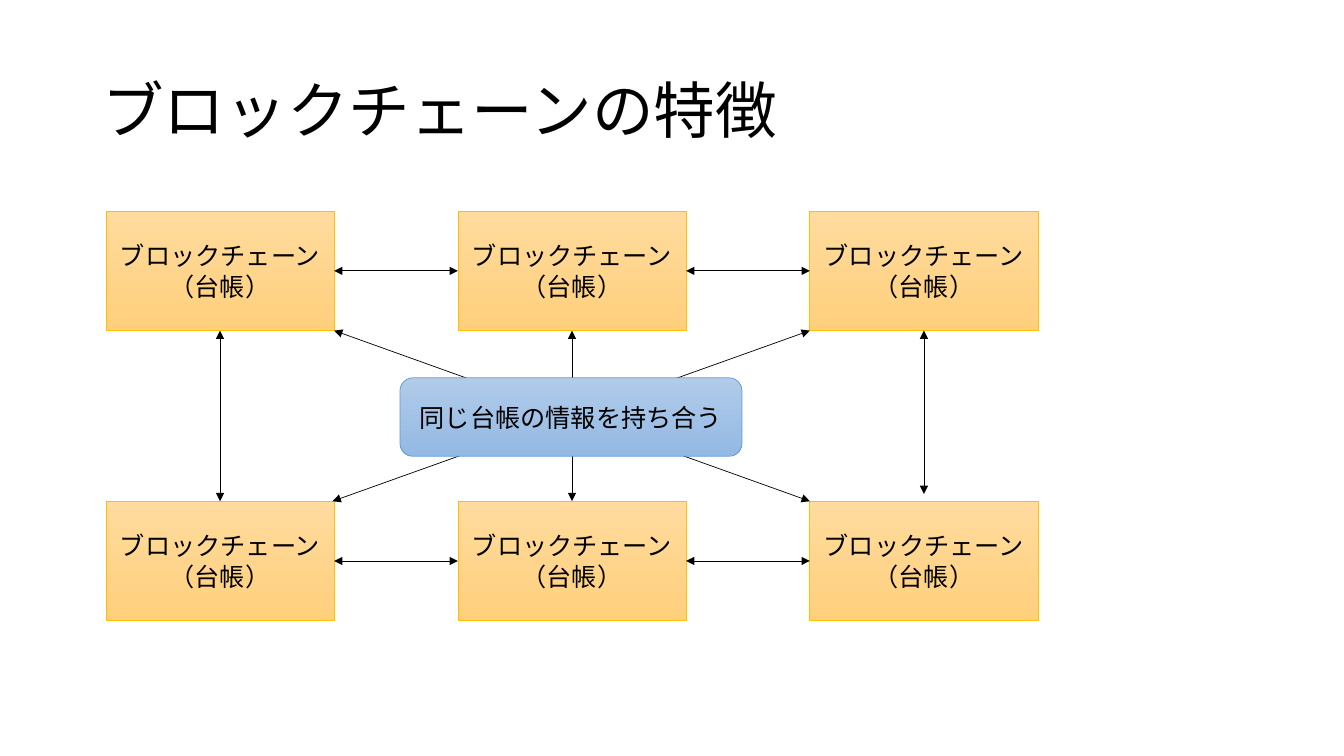
import lxml.etree
import pptx
import pptx.dml.color
import pptx.enum.shapes
import pptx.enum.text
import pptx.oxml.ns
import pptx.util

Cm = pptx.util.Cm
Pt = pptx.util.Pt
qn = pptx.oxml.ns.qn
PRESET = pptx.enum.shapes.MSO_SHAPE

FONT = "Noto Sans CJK JP"
COLORS = {
    "ink": "000000",
    "ledger_top": "FFDB9E", "ledger_bottom": "FFD07C", "ledger_edge": "FFC000",
    "shared_top": "B1CBE9", "shared_bottom": "93B9E4", "shared_edge": "5B9BD5",
}

# Ledger grid, in centimetres
COLUMNS = [2.67 + 8.87 * i for i in range(3)]
ROWS = [5.32, 12.63]
LEDGER_W, LEDGER_H = 5.75, 3.01


def rgb(name):
    return pptx.dml.color.RGBColor.from_string(COLORS[name])


def write(frame, text, size):
    """Put one vertically centred paragraph into a text frame."""
    frame.word_wrap = True
    frame.vertical_anchor = pptx.enum.text.MSO_ANCHOR.MIDDLE
    paragraph = frame.paragraphs[0]
    paragraph.text = text
    font = paragraph.font
    font.size = Pt(size)
    font.color.rgb = rgb("ink")
    font.name = FONT
    # Japanese glyphs follow the East Asian typeface
    lxml.etree.SubElement(font._element, qn("a:ea"), typeface=FONT)
    return paragraph


def add_title(slide, text):
    title = slide.shapes.add_textbox(Cm(2.33), Cm(1.01), Cm(29.21), Cm(3.68))
    write(title.text_frame, text, 44).line_spacing = 0.9


def add_box(slide, preset, left, top, width, height, text, style):
    box = slide.shapes.add_shape(preset, Cm(left), Cm(top), Cm(width), Cm(height))
    box.shadow.inherit = False
    box.fill.gradient()
    box.fill.gradient_angle = 270
    for stop, end in zip(box.fill.gradient_stops, ("top", "bottom")):
        stop.color.rgb = rgb(f"{style}_{end}")
    box.line.color.rgb = rgb(f"{style}_edge")
    box.line.width = Pt(0.5)
    write(box.text_frame, text, 18).alignment = pptx.enum.text.PP_ALIGN.CENTER


def add_double_arrow(slide, x1, y1, x2, y2):
    arrow = slide.shapes.add_connector(
        pptx.enum.shapes.MSO_CONNECTOR.STRAIGHT, Cm(x1), Cm(y1), Cm(x2), Cm(y2))
    arrow.line.color.rgb = rgb("ink")
    arrow.line.width = Pt(0.5)
    outline = arrow.line._get_or_add_ln()
    for end in ("a:headEnd", "a:tailEnd"):
        lxml.etree.SubElement(outline, qn(end), type="triangle")
    lxml.etree.SubElement(arrow._element.spPr, qn("a:effectLst"))


def add_arrows(slide):
    upper, lower = ROWS[0] + LEDGER_H, ROWS[1]
    for top in ROWS:
        middle = top + LEDGER_H / 2
        for left, following in zip(COLUMNS, COLUMNS[1:]):
            add_double_arrow(slide, following, middle, left + LEDGER_W, middle)
    # The right-hand arrow stops just short of the lower ledger
    for left, bottom in zip(COLUMNS, (lower, lower, lower - 0.18)):
        centre = left + LEDGER_W / 2
        add_double_arrow(slide, centre, bottom, centre, upper)
    inner_left, inner_right = COLUMNS[0] + LEDGER_W, COLUMNS[2]
    add_double_arrow(slide, inner_right, lower, inner_left, upper)
    add_double_arrow(slide, inner_right, upper, inner_left - 0.04, lower)


def main():
    deck = pptx.Presentation()
    deck.slide_width, deck.slide_height = Cm(33.87), Cm(19.05)
    slide = deck.slides.add_slide(deck.slide_layouts[6])

    add_title(slide, "ブロックチェーンの特徴")
    for top in ROWS:
        for left in COLUMNS:
            add_box(slide, PRESET.RECTANGLE, left, top, LEDGER_W, LEDGER_H,
                    "ブロックチェーン（台帳）", "ledger")
    add_arrows(slide)
    add_box(slide, PRESET.ROUNDED_RECTANGLE, 10.08, 9.52, 8.62, 1.98,
            "同じ台帳の情報を持ち合う", "shared")
    deck.save("out.pptx")


if __name__ == "__main__":
    main()
